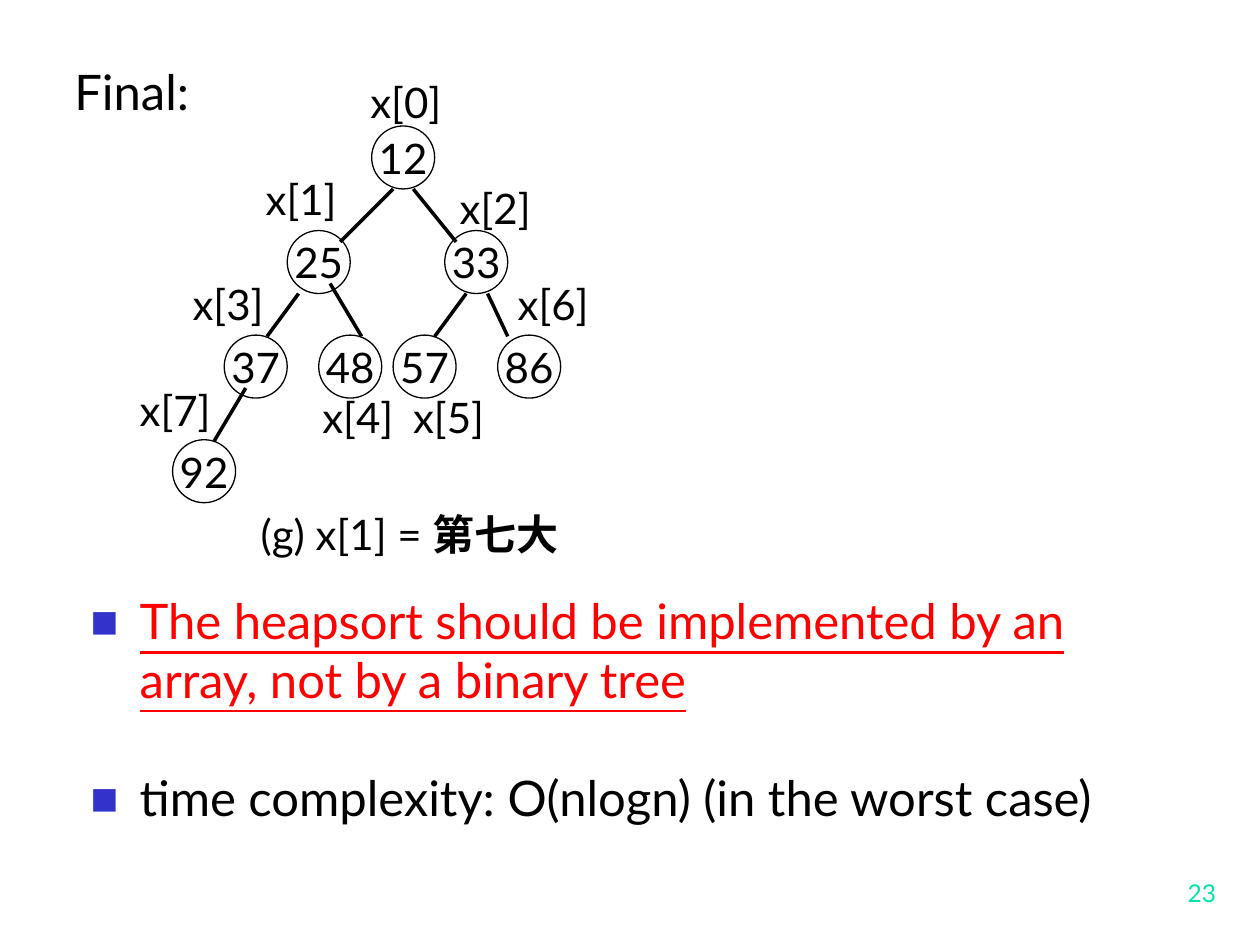
from dataclasses import dataclass

from lxml import etree
from pptx import Presentation
from pptx.dml.color import RGBColor
from pptx.enum import shapes, text
from pptx.oxml import ns
from pptx.util import Inches, Pt


@dataclass(frozen=True)
class Theme:
    font: str = "Lato"
    ink: str = "000000"
    warning: str = "FF0000"
    bullet: str = "3333CC"
    page: str = "00E4A8"
    heading_size: int = 28
    tree_size: int = 24
    page_size: int = 14


THEME = Theme()
NODE_SIZE = 0.5
LEVEL_TOP, LEVEL_STEP = 1, 0.83
LABEL_SIZE = (0.78, 0.5)

# Heap order: value, left edge of the node, position of its index label
HEAP = [
    (12, 2.95, (2.84, 0.56)),
    (25, 2.28, (2.01, 1.33)),
    (33, 3.53, (3.55, 1.4)),
    (37, 1.78, (1.43, 2.16)),
    (48, 2.53, (2.46, 3.06)),
    (57, 3.12, (3.18, 3.06)),
    (86, 3.95, (4.01, 2.16)),
    (92, 1.37, (1.01, 3)),
]

# Parent end and child end of each edge
EDGES = [
    ((3.12, 1.5), (2.7, 1.92)),
    ((3.28, 1.5), (3.62, 1.92)),
    ((2.37, 2.33), (2.12, 2.67)),
    ((2.62, 2.25), (2.87, 2.67)),
    ((3.7, 2.33), (3.45, 2.67)),
    ((3.87, 2.33), (4.03, 2.67)),
    ((1.95, 3.08), (1.7, 3.5)),
]


def add_run(paragraph, words, size, color=THEME.ink, bold=False, underline=False):
    run = paragraph.add_run()
    run.text = words
    font = run.font
    font.name, font.size = THEME.font, Pt(size)
    font.color.rgb = RGBColor.from_string(color)
    font.bold, font.underline = bold, underline


def add_text_box(slide, left, top, width, height, wrap=False):
    box = slide.shapes.add_textbox(*map(Inches, (left, top, width, height)))
    box.text_frame.word_wrap = wrap
    return box.text_frame


def add_heading(slide, words):
    title = slide.shapes.title
    title.left, title.top = Inches(0.49), Inches(0.44)
    title.width, title.height = Inches(1.16), Inches(0.57)
    frame = title.text_frame
    frame.word_wrap = False
    frame.auto_size = text.MSO_AUTO_SIZE.NONE
    frame.vertical_anchor = text.MSO_ANCHOR.TOP
    frame.paragraphs[0].alignment = text.PP_ALIGN.LEFT
    add_run(frame.paragraphs[0], words, THEME.heading_size)


def add_node(slide, value, left, top):
    node = slide.shapes.add_shape(
        shapes.MSO_SHAPE.OVAL, *map(Inches, (left, top, NODE_SIZE, NODE_SIZE)))
    node.shadow.inherit = False
    node.fill.background()
    node.line.color.rgb = RGBColor.from_string(THEME.ink)
    node.line.width = Pt(0.75)
    frame = node.text_frame
    frame.word_wrap = False
    frame.vertical_anchor = text.MSO_ANCHOR.MIDDLE
    frame.paragraphs[0].alignment = text.PP_ALIGN.CENTER
    add_run(frame.paragraphs[0], str(value), THEME.tree_size)


def add_edge(slide, parent, child):
    edge = slide.shapes.add_connector(
        shapes.MSO_CONNECTOR.STRAIGHT, *map(Inches, parent + child))
    edge.line.color.rgb = RGBColor.from_string(THEME.ink)
    edge.line.width = Pt(2)
    etree.SubElement(edge._element.spPr, ns.qn("a:effectLst"))


def add_heap(slide):
    for index, (value, left, label_at) in enumerate(HEAP):
        level = (index + 1).bit_length() - 1
        add_node(slide, value, left, LEVEL_TOP + level * LEVEL_STEP)
        label = add_text_box(slide, *label_at, *LABEL_SIZE)
        add_run(label.paragraphs[0], f"x[{index}]", THEME.tree_size)
    for parent, child in EDGES:
        add_edge(slide, parent, child)


def add_caption(slide):
    caption = add_text_box(slide, 1.97, 3.99, 2.68, 0.5).paragraphs[0]
    add_run(caption, "(g) x[1] = ", THEME.tree_size)
    add_run(caption, "第七大", THEME.tree_size, bold=True)


def set_bullet(paragraph):
    """Give the paragraph a hanging indent and a small coloured square."""
    props = paragraph._p.get_or_add_pPr()
    indent = Inches(0.39)
    props.set("marL", str(indent))
    props.set("indent", str(-indent))
    color = etree.SubElement(props, ns.qn("a:buClr"))
    etree.SubElement(color, ns.qn("a:srgbClr"), val=THEME.bullet)
    etree.SubElement(props, ns.qn("a:buSzPct"), val="60000")
    etree.SubElement(props, ns.qn("a:buFont"), typeface=THEME.font)
    etree.SubElement(props, ns.qn("a:buChar"), char="■")


def add_remarks(slide):
    frame = add_text_box(slide, 0.62, 4.64, 8.69, 2.37, wrap=True)
    advice, cost = frame.paragraphs[0], frame.add_paragraph()
    for remark in (advice, cost):
        set_bullet(remark)
    cost.space_before = Pt(33.6)
    add_run(advice, "The heapsort should be implemented by an array, "
            "not by a binary tree", THEME.heading_size, THEME.warning, underline=True)
    add_run(cost, "time complexity: O(nlogn) (in the worst case)", THEME.heading_size)


def add_page_number(slide, number):
    frame = add_text_box(slide, 7.67, 6.75, 2.08, 0.5, wrap=True)
    frame.vertical_anchor = text.MSO_ANCHOR.BOTTOM
    frame.paragraphs[0].alignment = text.PP_ALIGN.RIGHT
    add_run(frame.paragraphs[0], str(number), THEME.page_size, THEME.page)


def main():
    deck = Presentation()
    deck.slide_width, deck.slide_height = Inches(10), Inches(7.5)
    slide = deck.slides.add_slide(deck.slide_layouts.get_by_name("Title Only"))
    add_heading(slide, "Final:")
    add_heap(slide)
    add_caption(slide)
    add_remarks(slide)
    add_page_number(slide, 23)
    deck.save("out.pptx")


if __name__ == "__main__":
    main()
